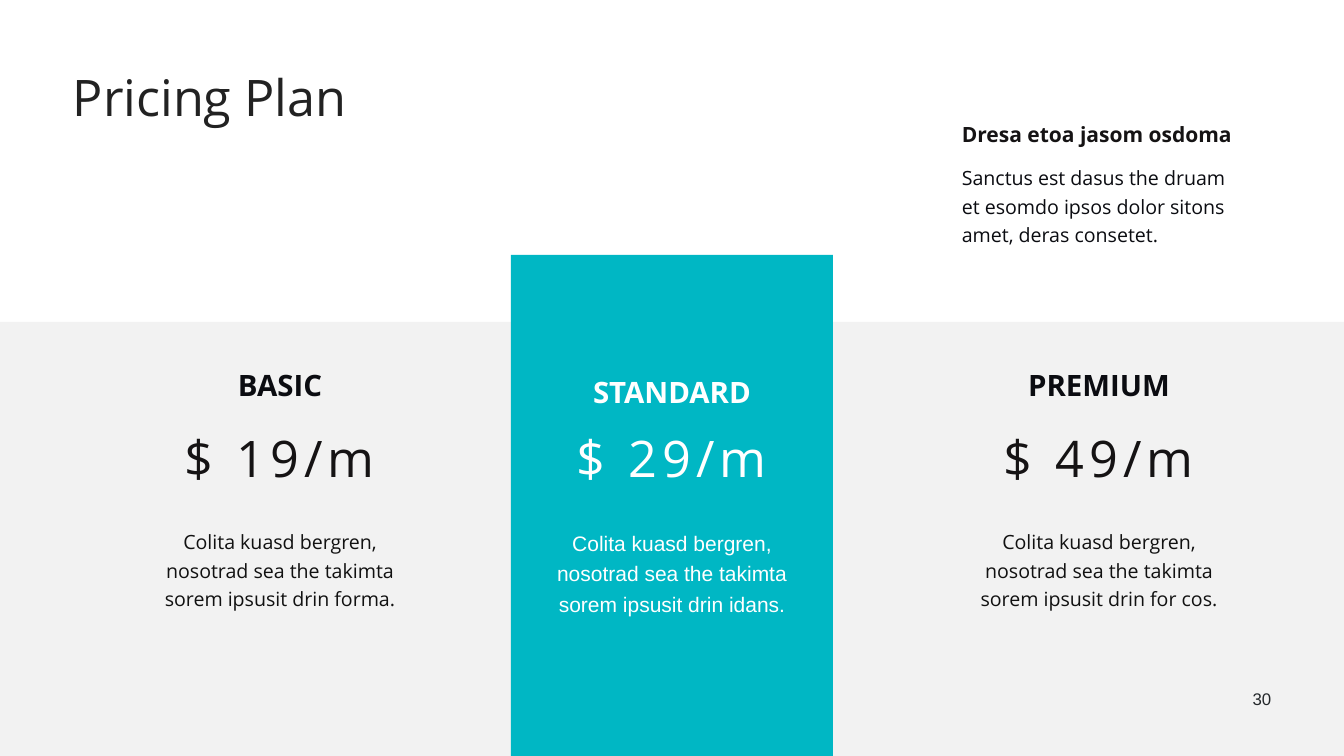
import pptx
import pptx.dml.color
import pptx.enum.shapes
import pptx.enum.text
import pptx.util

PX = 12700  # EMU per px, on a 1920 x 1080 px slide
LEFT, CENTER, RIGHT = (
    pptx.enum.text.PP_ALIGN.LEFT,
    pptx.enum.text.PP_ALIGN.CENTER,
    pptx.enum.text.PP_ALIGN.RIGHT,
)


def color(hex_string):
    return pptx.dml.color.RGBColor.from_string(hex_string)


def write(shape, box, text, size, hex_color, font="Open Sans", bold=False,
          align=LEFT, line_spacing=1.0, tracking=0, inset=4):
    shape.left, shape.top, shape.width, shape.height = [n * PX for n in box]
    frame = shape.text_frame
    frame_format = {
        "word_wrap": True,
        "auto_size": pptx.enum.text.MSO_AUTO_SIZE.NONE,
        "vertical_anchor": pptx.enum.text.MSO_ANCHOR.TOP,
        "margin_left": inset * PX,
        "margin_top": inset * PX,
        "margin_right": inset * PX,
        "margin_bottom": inset * PX,
    }
    for name, value in frame_format.items():
        setattr(frame, name, value)
    paragraph = frame.paragraphs[0]
    paragraph.alignment = align
    paragraph.line_spacing = line_spacing
    run = paragraph.add_run()
    run.text = text
    font_format = {"name": font, "size": pptx.util.Pt(size), "bold": bold}
    for name, value in font_format.items():
        setattr(run.font, name, value)
    run.font.color.rgb = color(hex_color)
    if tracking:
        run._r.get_or_add_rPr().set("spc", str(tracking))


presentation = pptx.Presentation()
presentation.slide_width = 1920 * PX
presentation.slide_height = 1080 * PX
slide = presentation.slides.add_slide(presentation.slide_layouts[5])
shapes = slide.shapes

# Grey band and highlighted middle card
for box, fill in [((0, 460, 1920, 620), "F2F2F2"), ((730, 364, 460, 716), "00B7C4")]:
    shape = shapes.add_shape(
        pptx.enum.shapes.MSO_SHAPE.RECTANGLE, *[n * PX for n in box])
    shape.shadow.inherit = False
    shape.fill.solid()
    shape.fill.fore_color.rgb = color(fill)
    shape.line.fill.background()

# Title
write(shapes.title, (100, 100, 740, 105), "Pricing Plan", 72, "222222", line_spacing=0.9)

# Introduction at the top right
write(shapes.add_textbox(0, 0, 0, 0), (1370, 163, 400, 48),
      "Dresa etoa jasom osdoma", 30, "151314", bold=True, line_spacing=1.2)
write(shapes.add_textbox(0, 0, 0, 0), (1370, 227, 400, 136),
      "Sanctus est dasus the druam et esomdo ipsos dolor sitons amet, deras consetet.",
      28, "0B0C11", line_spacing=1.2)

# Plans: left edge, name, price, closing words, highlighted
plans = [
    (200, "BASIC", "$ 19/m", "forma.", False),
    (760, "STANDARD", "$ 29/m", "idans.", True),
    (1370, "PREMIUM", "$ 49/m", "for cos.", False),
]
for left, plan, price, ending, highlighted in plans:
    name_color, price_color, detail_color = (
        ["FFFFFF"] * 3 if highlighted else ["0B0C11", "151314", "111111"])
    write(shapes.add_textbox(0, 0, 0, 0), (left, 520, 400, 64), plan, 42, name_color,
          bold=True, align=CENTER, line_spacing=1.2 if highlighted else 1.0)
    write(shapes.add_textbox(0, 0, 0, 0), (left, 616, 400, 105), price, 72, price_color,
          align=CENTER, line_spacing=0.9, tracking=720)
    write(shapes.add_textbox(0, 0, 0, 0), (left + 20, 747, 360, 136),
          f"Colita kuasd bergren, nosotrad sea the takimta sorem ipsusit drin {ending}",
          30 if highlighted else 28, detail_color,
          font="Arial" if highlighted else "Open Sans", align=CENTER, line_spacing=1.2)

# Page number
write(shapes.add_textbox(0, 0, 0, 0), (1720, 980, 100, 37), "30", 24, "24282B",
      font="Arial", align=RIGHT)

presentation.save("out.pptx")
